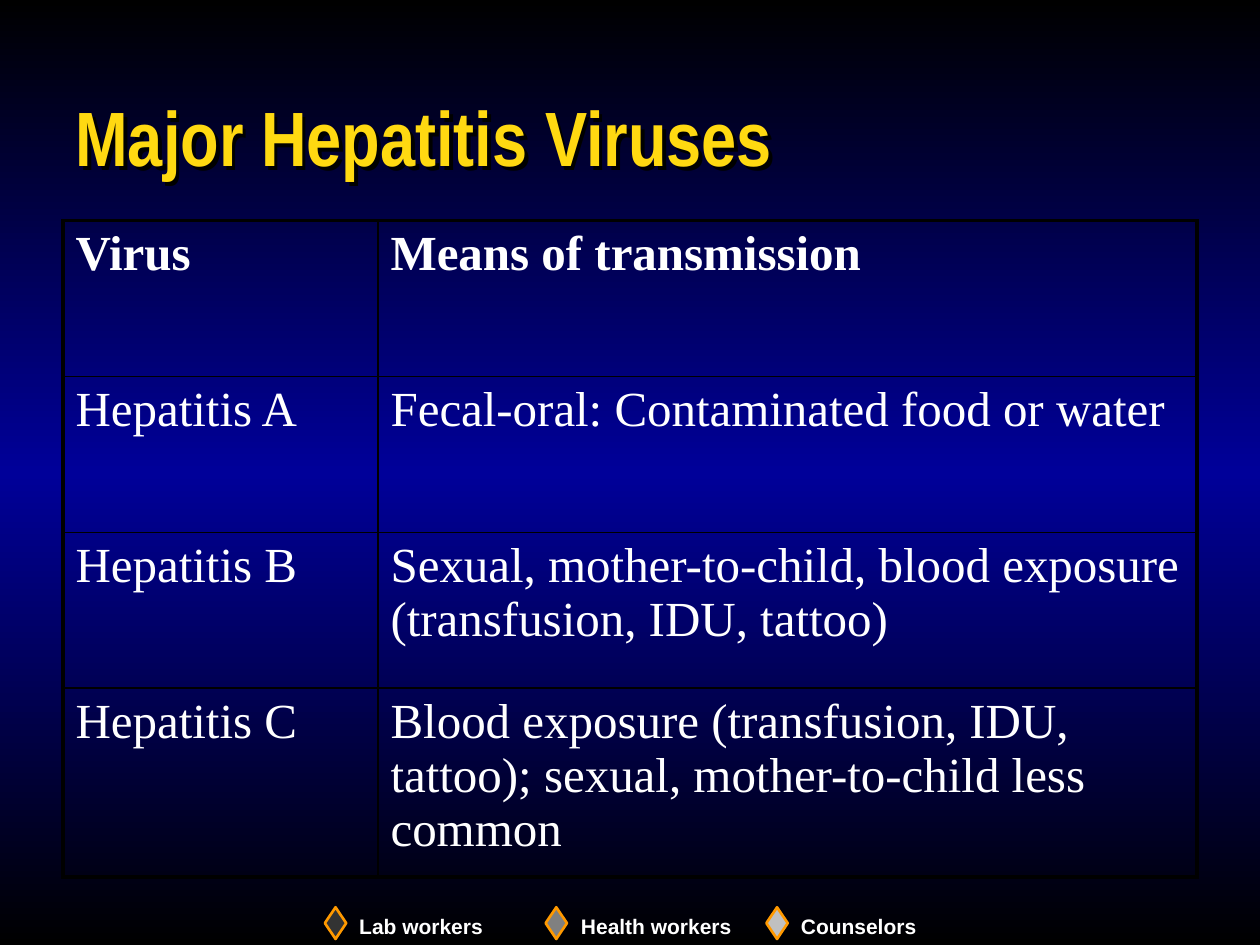
from copy import deepcopy
from dataclasses import dataclass

from lxml.etree import SubElement
from pptx import Presentation
from pptx.dml.color import RGBColor
from pptx.enum.shapes import MSO_SHAPE
from pptx.enum.text import MSO_ANCHOR, MSO_AUTO_SIZE, PP_ALIGN
from pptx.oxml import parse_xml
from pptx.oxml.ns import nsdecls, qn
from pptx.slide import Slide
from pptx.table import _Cell
from pptx.text.text import TextFrame
from pptx.util import Cm, Pt

COLORS = {
    "black": "000000",
    "blue": "000099",
    "white": "FFFFFF",
    "yellow": "FFD911",
    "orange": "FF9900",
    "dark": "333333",
    "middle": "808080",
    "light": "C0C0C0",
}
OUTER_LINE, INNER_LINE = 2.25, 1
PLAIN_TABLE_STYLE = "{2D5ABB26-0587-4C30-8999-92F81FD0307C}"
LEGEND_LEFT, LEGEND_TOP, LEGEND_STEP = 6.55, 18.29, 4.45
DIAMOND_WIDTH, DIAMOND_HEIGHT = 0.43, 0.64


@dataclass
class Audience:
    """A group of workers shown in the legend."""

    label: str
    color: str
    label_width: float


@dataclass
class Virus:
    """A row of the transmission table."""

    name: str
    transmission: str
    height: float = 3.14


AUDIENCES = [
    Audience("Lab workers", "dark", 3.02),
    Audience("Health workers", "middle", 3.6),
    Audience("Counselors", "light", 2.86),
]
ROWS = [
    Virus("Virus", "Means of transmission"),
    Virus("Hepatitis A", "Fecal-oral: Contaminated food or water"),
    Virus("Hepatitis B", "Sexual, mother-to-child, blood exposure (transfusion, IDU, tattoo)"),
    Virus("Hepatitis C", "Blood exposure (transfusion, IDU, tattoo); sexual, mother-to-child less common", 3.53),
]


def rgb(color: str) -> RGBColor:
    """Look up a named colour."""
    return RGBColor.from_string(COLORS[color])


def write(frame: TextFrame, text: str, font: str, size: float, color: str, bold: bool) -> None:
    """Set the text of a frame and format its run."""
    frame.text = text
    style = frame.paragraphs[0].runs[0].font
    style.name, style.size, style.bold = font, Pt(size), bold
    style.color.rgb = rgb(color)


def paint_background(slide: Slide) -> None:
    """Fill the slide with a black, blue, black vertical gradient."""
    fill = slide.background.fill
    fill.gradient()
    fill.gradient_angle = 270
    stop_list = next(slide.element.iter(qn("a:gsLst")))
    stop_list.insert(1, deepcopy(stop_list[0]))
    for stop, color, position in zip(fill.gradient_stops, ("black", "blue", "black"), (0, 0.5, 1)):
        stop.color.rgb = rgb(color)
        stop.position = position


def draw_title(slide: Slide) -> None:
    """Write the title with its drop shadow."""
    title = slide.shapes.add_textbox(Cm(1.27), Cm(1.14), Cm(22.86), Cm(3.18))
    frame = title.text_frame
    frame.word_wrap = True
    frame.vertical_anchor = MSO_ANCHOR.MIDDLE
    write(frame, "Major Hepatitis Viruses", "Arial Narrow", 44, "yellow", True)
    shadow = parse_xml(
        f'<a:effectLst {nsdecls("a")}><a:outerShdw dist="40000" dir="2700000" algn="ctr">'
        f'<a:srgbClr val="{COLORS["black"]}"/></a:outerShdw></a:effectLst>'
    )
    next(title.element.iter(qn("p:spPr"))).append(shadow)


def draw_audience(slide: Slide, audience: Audience, left: float) -> None:
    """Draw a legend diamond with its label."""
    diamond = slide.shapes.add_shape(
        MSO_SHAPE.DIAMOND, Cm(left), Cm(LEGEND_TOP), Cm(DIAMOND_WIDTH), Cm(DIAMOND_HEIGHT)
    )
    diamond.shadow.inherit = False
    diamond.fill.solid()
    diamond.fill.fore_color.rgb = rgb(audience.color)
    diamond.line.color.rgb = rgb("orange")
    diamond.line.width = Pt(1.5)
    label = slide.shapes.add_textbox(
        Cm(left + DIAMOND_WIDTH), Cm(LEGEND_TOP), Cm(audience.label_width), Cm(0.76)
    )
    frame = label.text_frame
    frame.word_wrap = False
    frame.auto_size = MSO_AUTO_SIZE.SHAPE_TO_FIT_TEXT
    write(frame, audience.label, "Arial", 12, "white", True)
    frame.paragraphs[0].alignment = PP_ALIGN.CENTER


def set_borders(cell: _Cell, outer_sides: dict[str, bool]) -> None:
    """Line a cell, thicker on the outer sides of the table."""
    properties = cell._tc.get_or_add_tcPr()
    for index, (side, outer) in enumerate(outer_sides.items()):
        width = Pt(OUTER_LINE if outer else INNER_LINE)
        border = properties.makeelement(qn(f"a:ln{side}"), {"w": str(int(width))})
        fill = SubElement(border, qn("a:solidFill"))
        SubElement(fill, qn("a:srgbClr"), val=COLORS["black"])
        SubElement(border, qn("a:prstDash"), val="solid")
        properties.insert(index, border)


def draw_table(slide: Slide) -> None:
    """Draw the table of viruses and their transmission."""
    height = sum(virus.height for virus in ROWS)
    frame = slide.shapes.add_table(len(ROWS), 2, Cm(1.27), Cm(4.45), Cm(22.86), Cm(height))
    table = frame.table
    table.first_row = table.horz_banding = False
    next(frame.element.iter(qn("a:tableStyleId"))).text = PLAIN_TABLE_STYLE
    table.columns[0].width, table.columns[1].width = Cm(6.35), Cm(16.51)
    last_row = len(ROWS) - 1
    for row, virus in enumerate(ROWS):
        table.rows[row].height = Cm(virus.height)
        for column, text in enumerate((virus.name, virus.transmission)):
            cell = table.cell(row, column)
            cell.fill.background()
            write(cell.text_frame, text, "Times New Roman", 28, "white", row == 0)
            set_borders(
                cell, {"L": column == 0, "R": column == 1, "T": row == 0, "B": row == last_row}
            )


def main() -> None:
    """Build the slide and save it."""
    presentation = Presentation()
    presentation.slide_width, presentation.slide_height = Cm(25.4), Cm(19.05)
    slide = presentation.slides.add_slide(presentation.slide_layouts[6])
    paint_background(slide)
    for index, audience in enumerate(AUDIENCES):
        draw_audience(slide, audience, LEGEND_LEFT + index * LEGEND_STEP)
    draw_title(slide)
    draw_table(slide)
    presentation.save("out.pptx")


if __name__ == "__main__":
    main()
